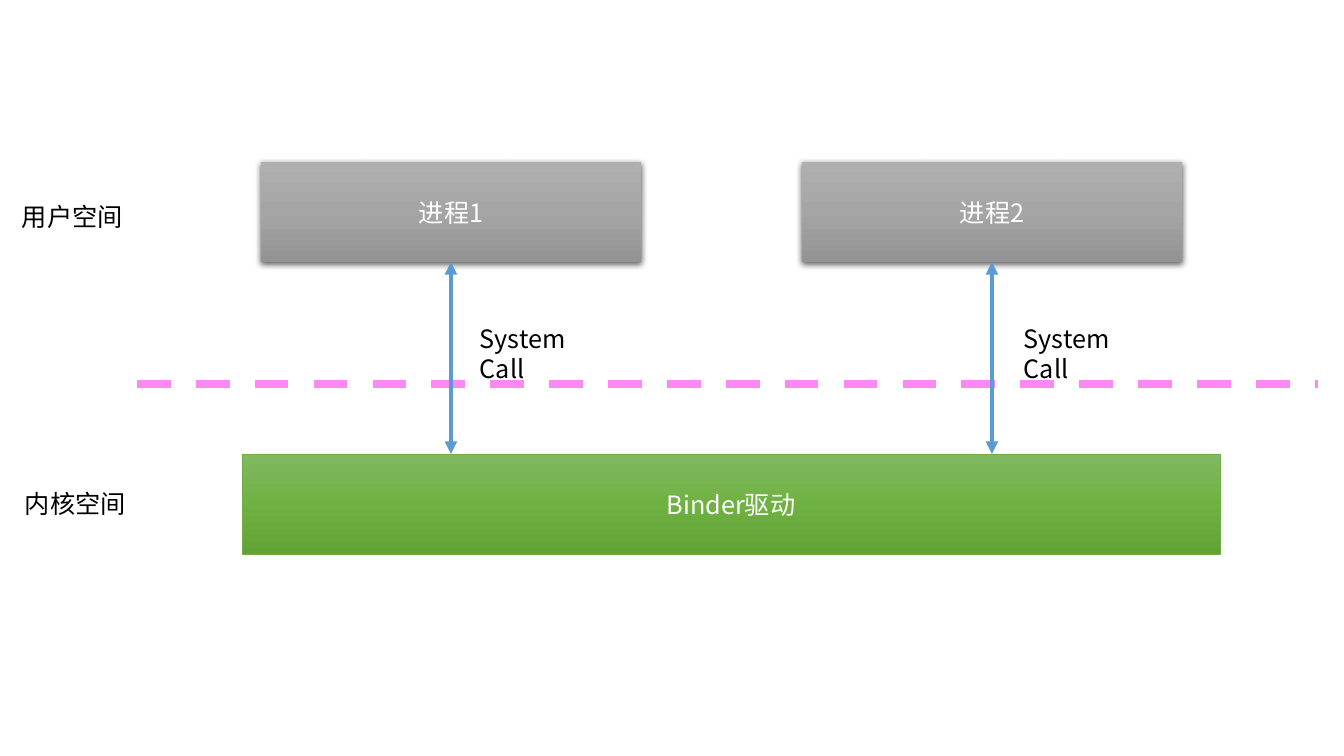
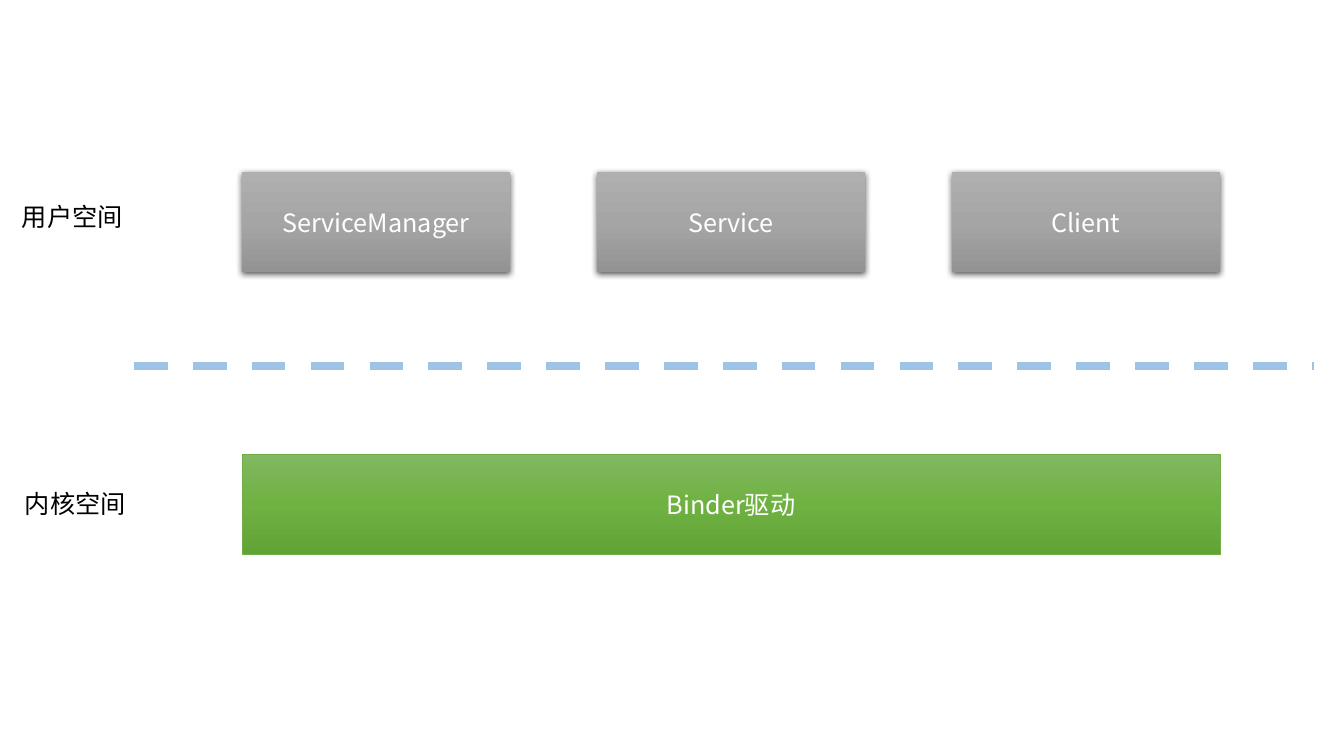
from dataclasses import dataclass

from lxml import etree
from pptx import Presentation
from pptx.dml.color import RGBColor
from pptx.enum.dml import MSO_LINE
from pptx.enum.shapes import MSO_CONNECTOR, MSO_SHAPE
from pptx.enum.text import MSO_ANCHOR, PP_ALIGN
from pptx.oxml.ns import qn
from pptx.shapes.autoshape import Shape
from pptx.shapes.connector import Connector
from pptx.slide import Slide
from pptx.text.text import TextFrame
from pptx.util import Emu, Pt

RECTANGLE = MSO_SHAPE.RECTANGLE
STRAIGHT = MSO_CONNECTOR.STRAIGHT
DASH = MSO_LINE.DASH
CENTER, LEFT = PP_ALIGN.CENTER, PP_ALIGN.LEFT
MIDDLE, TOP = MSO_ANCHOR.MIDDLE, MSO_ANCHOR.TOP

PIXELS_PER_INCH = 100.8
SLIDE_WIDTH, SLIDE_HEIGHT = 1344, 756


@dataclass(frozen=True)
class Theme:
    font: str = "Noto Sans CJK SC"
    text_size: int = 18
    text: str = "000000"
    text_on_block: str = "FFFFFF"
    process_fill: tuple[str, ...] = ("AFAFAF", "A5A5A5", "939393")
    driver_fill: tuple[str, ...] = ("81B861", "6FB242", "62A336")
    driver_outline: str = "70AD47"
    outline_width: float = 0.5
    call: str = "5B9BD5"
    call_width: int = 3
    pink_boundary: str = "FC88F4"
    blue_boundary: str = "9DC3E6"
    boundary_width: int = 6
    shadow: str = "000000"
    shadow_opacity: int = 63
    shadow_blur: float = 4.5
    shadow_distance: float = 1.5


THEME = Theme()


@dataclass(frozen=True)
class Block:
    text: str
    left: int
    top: int
    width: int
    height: int = 100

    @property
    def center(self) -> int:
        return self.left + self.width // 2

    @property
    def bottom(self) -> int:
        return self.top + self.height


@dataclass(frozen=True)
class Label:
    text: str
    left: int
    top: int
    width: int
    height: int = 40


@dataclass(frozen=True)
class Boundary:
    left: int
    right: int
    y: int
    color: str


# Parts that both slides share
DRIVER = Block("Binder驱动", 242, 454, 978)
SPACE_LABELS = (Label("用户空间", 12, 196, 127), Label("内核空间", 15, 483, 127))


def px(pixels: float) -> Emu:
    return Emu(round(pixels * 914400 / PIXELS_PER_INCH))


def rgb(color: str) -> RGBColor:
    return RGBColor.from_string(color)


# Text
def write(frame: TextFrame, text: str, color: str, align: PP_ALIGN, anchor: MSO_ANCHOR) -> None:
    frame.word_wrap = True
    frame.vertical_anchor = anchor
    paragraph = frame.paragraphs[0]
    paragraph.alignment = align
    run = paragraph.add_run()
    run.text = text
    run.font.size = Pt(THEME.text_size)
    run.font.name = THEME.font
    run.font.color.rgb = rgb(color)
    east_asian = etree.SubElement(run.font._element, qn("a:ea"))
    east_asian.set("typeface", THEME.font)


def draw_label(slide: Slide, label: Label) -> None:
    box = slide.shapes.add_textbox(px(label.left), px(label.top), px(label.width), px(label.height))
    write(box.text_frame, label.text, THEME.text, LEFT, TOP)


# Blocks
def fill_gradient(shape: Shape, colors: tuple[str, ...]) -> None:
    shape.fill.gradient()
    shape.fill.gradient_angle = 270
    stops = shape._element.spPr.find(".//" + qn("a:gsLst"))
    for stop in list(stops):
        stops.remove(stop)
    for index, color in enumerate(colors):
        position = index * 100000 // (len(colors) - 1)
        stop = etree.SubElement(stops, qn("a:gs"), pos=str(position))
        etree.SubElement(stop, qn("a:srgbClr"), val=color)


def add_drop_shadow(shape: Shape) -> None:
    effects = shape._element.spPr.find(qn("a:effectLst"))
    shadow = etree.SubElement(
        effects, qn("a:outerShdw"),
        blurRad=str(Pt(THEME.shadow_blur)), dist=str(Pt(THEME.shadow_distance)),
        dir=str(90 * 60000), algn="ctr", rotWithShape="0",
    )
    color = etree.SubElement(shadow, qn("a:srgbClr"), val=THEME.shadow)
    etree.SubElement(color, qn("a:alpha"), val=str(THEME.shadow_opacity * 1000))


def draw_block(slide: Slide, block: Block, colors: tuple[str, ...]) -> Shape:
    shape = slide.shapes.add_shape(
        RECTANGLE, px(block.left), px(block.top), px(block.width), px(block.height))
    shape.shadow.inherit = False
    fill_gradient(shape, colors)
    write(shape.text_frame, block.text, THEME.text_on_block, CENTER, MIDDLE)
    return shape


def draw_process(slide: Slide, process: Block) -> None:
    shape = draw_block(slide, process, THEME.process_fill)
    shape.line.fill.background()
    add_drop_shadow(shape)


def draw_driver(slide: Slide) -> None:
    shape = draw_block(slide, DRIVER, THEME.driver_fill)
    shape.line.color.rgb = rgb(THEME.driver_outline)
    shape.line.width = Pt(THEME.outline_width)


# Lines
def draw_line(slide: Slide, start: tuple[int, int], end: tuple[int, int],
              color: str, width: float) -> Connector:
    line = slide.shapes.add_connector(STRAIGHT, *map(px, start + end))
    line.line.color.rgb = rgb(color)
    line.line.width = Pt(width)
    etree.SubElement(line._element.spPr, qn("a:effectLst"))
    return line


def draw_boundary(slide: Slide, boundary: Boundary) -> None:
    line = draw_line(slide, (boundary.left, boundary.y), (boundary.right, boundary.y),
                     boundary.color, THEME.boundary_width)
    line.line.dash_style = DASH


def draw_call(slide: Slide, process: Block) -> None:
    arrow = draw_line(slide, (process.center, process.bottom), (process.center, DRIVER.top),
                      THEME.call, THEME.call_width)
    outline = arrow.line._get_or_add_ln()
    for end in ("a:headEnd", "a:tailEnd"):
        etree.SubElement(outline, qn(end), type="triangle")


# Slides
def add_spaces_slide(deck: Presentation, processes: list[Block], boundary: Boundary) -> Slide:
    slide = deck.slides.add_slide(deck.slide_layouts[6])
    for process in processes:
        draw_process(slide, process)
    draw_driver(slide)
    draw_boundary(slide, boundary)
    for label in SPACE_LABELS:
        draw_label(slide, label)
    return slide


def add_system_call_slide(deck: Presentation) -> None:
    processes = [Block("进程1", 261, 162, 380), Block("进程2", 802, 162, 380)]
    call_labels = [Label("System Call", left, 318, 145) for left in (470, 1014)]
    slide = add_spaces_slide(deck, processes, Boundary(137, 1318, 384, THEME.pink_boundary))
    for process in processes:
        draw_call(slide, process)
    for label in call_labels:
        draw_label(slide, label)


def add_roles_slide(deck: Presentation) -> None:
    roles = ("ServiceManager", "Service", "Client")
    width = 268
    step = (DRIVER.width - width) // (len(roles) - 1)
    processes = [Block(role, DRIVER.left + index * step, 172, width)
                 for index, role in enumerate(roles)]
    add_spaces_slide(deck, processes, Boundary(134, 1314, 366, THEME.blue_boundary))


def main() -> None:
    deck = Presentation()
    deck.slide_width, deck.slide_height = px(SLIDE_WIDTH), px(SLIDE_HEIGHT)
    add_system_call_slide(deck)
    add_roles_slide(deck)
    deck.save("out.pptx")


main()
